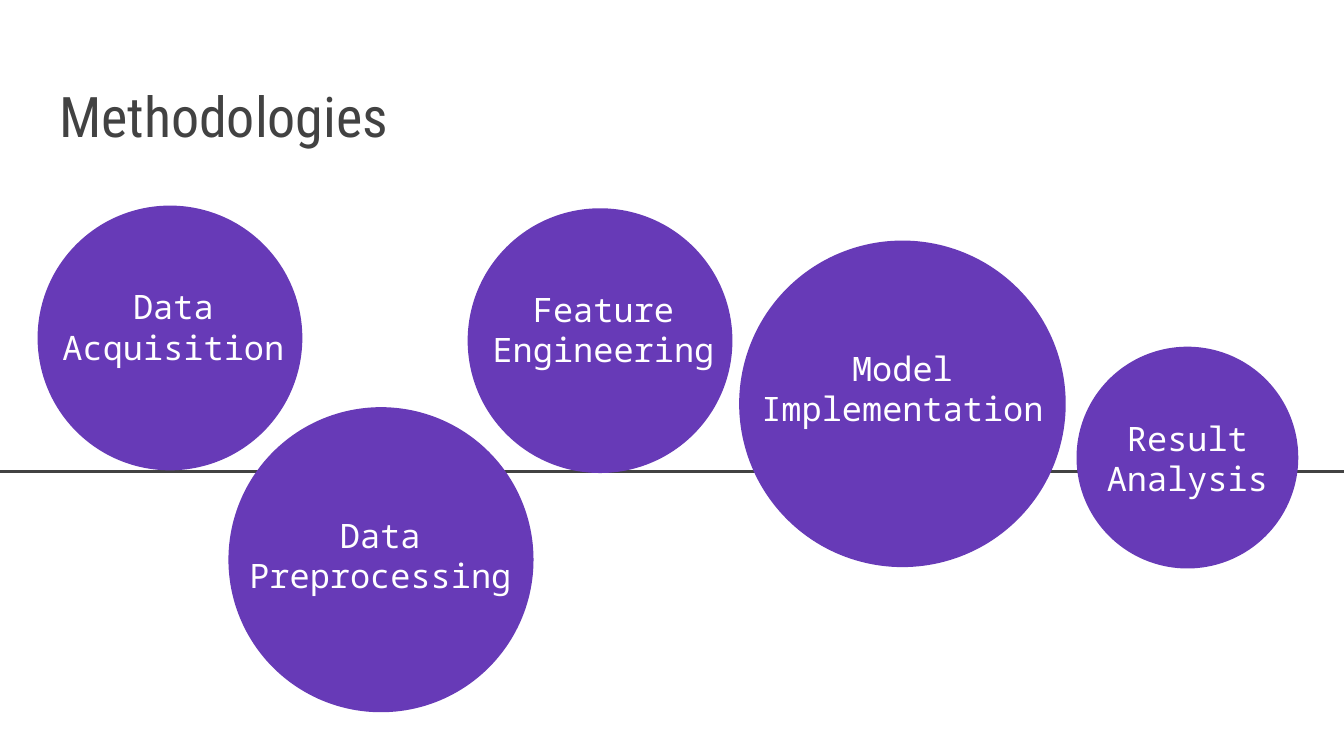
import pptx
import pptx.util
import pptx.dml.color
import pptx.enum.shapes
import pptx.enum.text
import pptx.oxml.ns
from lxml import etree

WIDTH = 10
HEIGHT = WIDTH * 9 / 16
AXIS_START, AXIS_Y = -0.01, 3.51
LABEL_HEIGHT = 0.66
DARK, PURPLE, WHITE = "424242", "673AB7", "FFFFFF"

TITLE = "Methodologies"
TITLE_BOX = (0.34, 0.41, 9.32, 0.8)
TITLE_FONT = {"name": "Roboto Condensed", "size": pptx.util.Pt(30), "bold": False}
LABEL_FONT = {"name": "Noto Sans Mono", "size": pptx.util.Pt(18)}

# label paragraphs, circle left, circle top, diameter, label width, label top
STEPS = [
    (["Data", "Acquisition"], 0.28, 1.53, 1.97, 2.02, 2.1),
    (["Result Analysis"], 8.01, 2.58, 1.65, 1.65, 3.08),
    (["Data Preprocessing"], 1.7, 3.03, 2.27, 2.26, 3.8),
    (["Feature Engineering"], 3.48, 1.55, 1.97, 2.02, 2.12),
    (["Model Implementation"], 5.5, 1.79, 2.43, 2.43, 2.56),
]


def rgb(color):
    return pptx.dml.color.RGBColor.from_string(color)


def inches(*values):
    return [pptx.util.Inches(v) for v in values]


def write(tf, lines, font, color, anchor, align):
    frame = {"word_wrap": True, "vertical_anchor": anchor,
             "auto_size": pptx.enum.text.MSO_AUTO_SIZE.NONE}
    for side in ("left", "right", "top", "bottom"):
        frame["margin_" + side] = pptx.util.Inches(0.1)
    for key, value in frame.items():
        setattr(tf, key, value)
    tf.text = "\n".join(lines)
    for p in tf.paragraphs:
        p.alignment = align
        for r in p.runs:
            for key, value in font.items():
                setattr(r.font, key, value)
            r.font.color.rgb = rgb(color)


def add_axis(shapes):
    line = shapes.add_connector(pptx.enum.shapes.MSO_CONNECTOR.STRAIGHT,
                                *inches(AXIS_START, AXIS_Y, WIDTH, AXIS_Y))
    line.line.color.rgb = rgb(DARK)
    line.line.width = pptx.util.Pt(1.5)
    etree.SubElement(line.element.spPr, pptx.oxml.ns.qn("a:effectLst"))


def add_title(sp):
    sp.left, sp.top, sp.width, sp.height = inches(*TITLE_BOX)
    write(sp.text_frame, [TITLE], TITLE_FONT, DARK,
          pptx.enum.text.MSO_ANCHOR.BOTTOM, pptx.enum.text.PP_ALIGN.LEFT)


def add_step(shapes, lines, left, top, diameter, label_width, label_top):
    sp = shapes.add_shape(pptx.enum.shapes.MSO_SHAPE.OVAL,
                          *inches(left, top, diameter, diameter))
    sp.shadow.inherit = False
    sp.fill.solid()
    sp.fill.fore_color.rgb = rgb(PURPLE)
    sp.line.fill.background()
    label = shapes.add_textbox(*inches(left, label_top, label_width, LABEL_HEIGHT))
    write(label.text_frame, lines, LABEL_FONT, WHITE,
          pptx.enum.text.MSO_ANCHOR.MIDDLE, pptx.enum.text.PP_ALIGN.CENTER)


def main():
    prs = pptx.Presentation()
    prs.slide_width, prs.slide_height = inches(WIDTH, HEIGHT)
    s = prs.slides.add_slide(prs.slide_layouts.get_by_name("Title Only"))
    add_axis(s.shapes)
    add_title(s.shapes.title)
    for step in STEPS:
        add_step(s.shapes, *step)
    prs.save("out.pptx")


if __name__ == "__main__":
    main()
